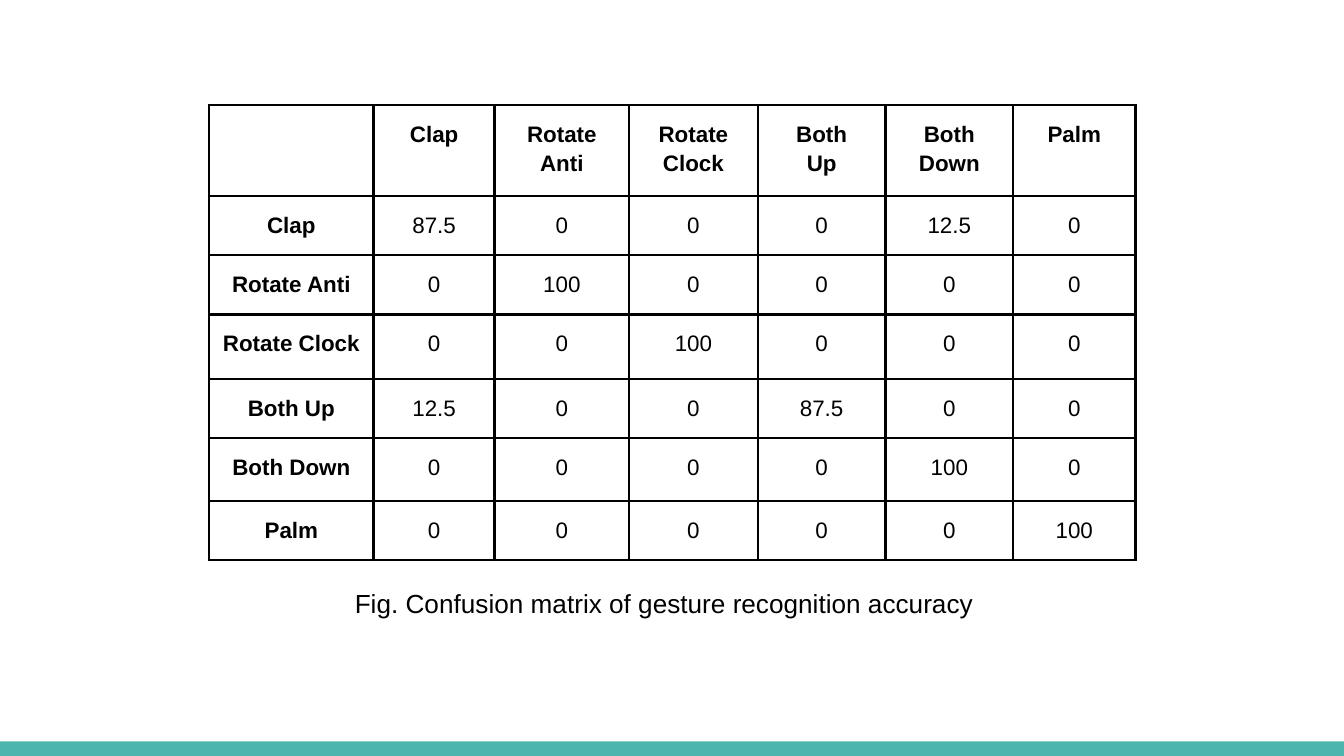
import pptx
import pptx.dml.color
import pptx.enum.shapes
import pptx.enum.text
import pptx.oxml
import pptx.oxml.ns
import pptx.util

Pt = pptx.util.Pt

BLACK = "000000"
TEAL = "4DB6AC"
PAGE_WIDTH, PAGE_HEIGHT = 720, 405

GESTURES = ["Clap", "Rotate Anti", "Rotate Clock", "Both Up", "Both Down", "Palm"]
HEADINGS = ["Clap", "Rotate\nAnti", "Rotate\nClock", "Both\nUp", "Both Down", "Palm"]
ACCURACY = [
    ["87.5", "0", "0", "0", "12.5", "0"],
    ["0", "100", "0", "0", "0", "0"],
    ["0", "0", "100", "0", "0", "0"],
    ["12.5", "0", "0", "87.5", "0", "0"],
    ["0", "0", "0", "0", "100", "0"],
    ["0", "0", "0", "0", "0", "100"],
]
COLUMN_WIDTHS = [88.2, 64.8, 72, 69, 68.4, 68.4, 65.5]
ROW_HEIGHTS = [48.8, 31.7, 31.7, 34.6, 31.7, 33.8, 31.7]


def color(value):
    return pptx.dml.color.RGBColor.from_string(value)


def write_text(frame, text, size=12, bold=False, align=None, spacing=None):
    """Fill a text frame, with one paragraph for each line of the text."""
    for index, line in enumerate(text.split("\n")):
        para = frame.paragraphs[0] if index == 0 else frame.add_paragraph()
        para.alignment = align
        para.line_spacing = spacing
        span = para.add_run()
        span.text = line
        span.font.name = "Arial"
        span.font.size = Pt(size)
        span.font.bold = bold
        span.font.color.rgb = color(BLACK)


def set_borders(cell, line_color, width):
    properties = cell._tc.get_or_add_tcPr()
    namespace = pptx.oxml.ns.nsdecls("a")
    for side in ("lnL", "lnR", "lnT", "lnB"):
        properties.append(pptx.oxml.parse_xml(
            f'<a:{side} {namespace} w="{Pt(width)}"><a:solidFill>'
            f'<a:srgbClr val="{line_color}"/></a:solidFill></a:{side}>'))


def format_cell(cell, text, bold):
    cell.margin_left = cell.margin_right = Pt(5)
    cell.margin_top = cell.margin_bottom = Pt(7.2)
    set_borders(cell, BLACK, 1.5)
    cell.fill.background()
    if text:
        write_text(cell.text_frame, text, bold=bold, spacing=1.15,
                   align=pptx.enum.text.PP_ALIGN.CENTER)


def add_confusion_matrix(page, left, top):
    rows = [["", *HEADINGS]]
    rows += [[gesture, *values] for gesture, values in zip(GESTURES, ACCURACY)]
    table = page.shapes.add_table(
        len(rows), len(rows[0]), Pt(left), Pt(top),
        Pt(sum(COLUMN_WIDTHS)), Pt(sum(ROW_HEIGHTS))).table
    table.first_row = table.horz_banding = False
    for column, width in zip(table.columns, COLUMN_WIDTHS):
        column.width = Pt(width)
    for row, height in zip(table.rows, ROW_HEIGHTS):
        row.height = Pt(height)
    for row_index, row in enumerate(rows):
        for column_index, text in enumerate(row):
            format_cell(table.cell(row_index, column_index), text,
                        bold=row_index == 0 or column_index == 0)


def add_footer_bar(page, height):
    bar = page.shapes.add_shape(
        pptx.enum.shapes.MSO_SHAPE.RECTANGLE,
        Pt(0), Pt(PAGE_HEIGHT - height), Pt(PAGE_WIDTH), Pt(height))
    bar.shadow.inherit = False
    bar.fill.solid()
    bar.fill.fore_color.rgb = color(TEAL)
    bar.line.fill.background()


def add_caption(page, text, left, top, width, height):
    box = page.shapes.add_textbox(Pt(left), Pt(top), Pt(width), Pt(height))
    frame = box.text_frame
    frame.word_wrap = True
    frame.margin_left = frame.margin_right = Pt(7.2)
    frame.margin_top = frame.margin_bottom = Pt(7.2)
    write_text(frame, text, size=14)


def main():
    deck = pptx.Presentation()
    deck.slide_width, deck.slide_height = Pt(PAGE_WIDTH), Pt(PAGE_HEIGHT)
    page = deck.slides.add_slide(deck.slide_layouts[6])
    add_footer_bar(page, height=7.8)
    add_confusion_matrix(page, left=112, top=56.2)
    add_caption(page, "Fig. Confusion matrix of gesture recognition accuracy",
                left=183, top=307.5, width=366, height=22.5)
    deck.save("out.pptx")


if __name__ == "__main__":
    main()
